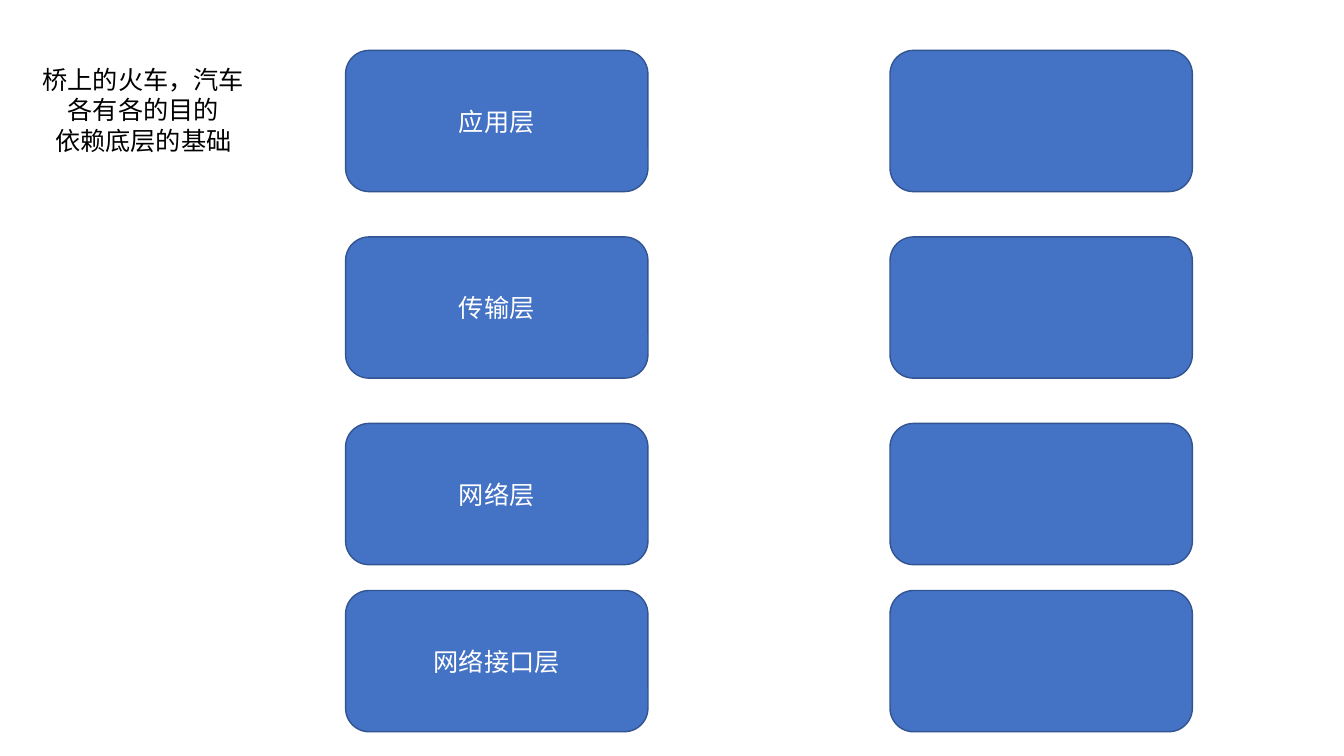
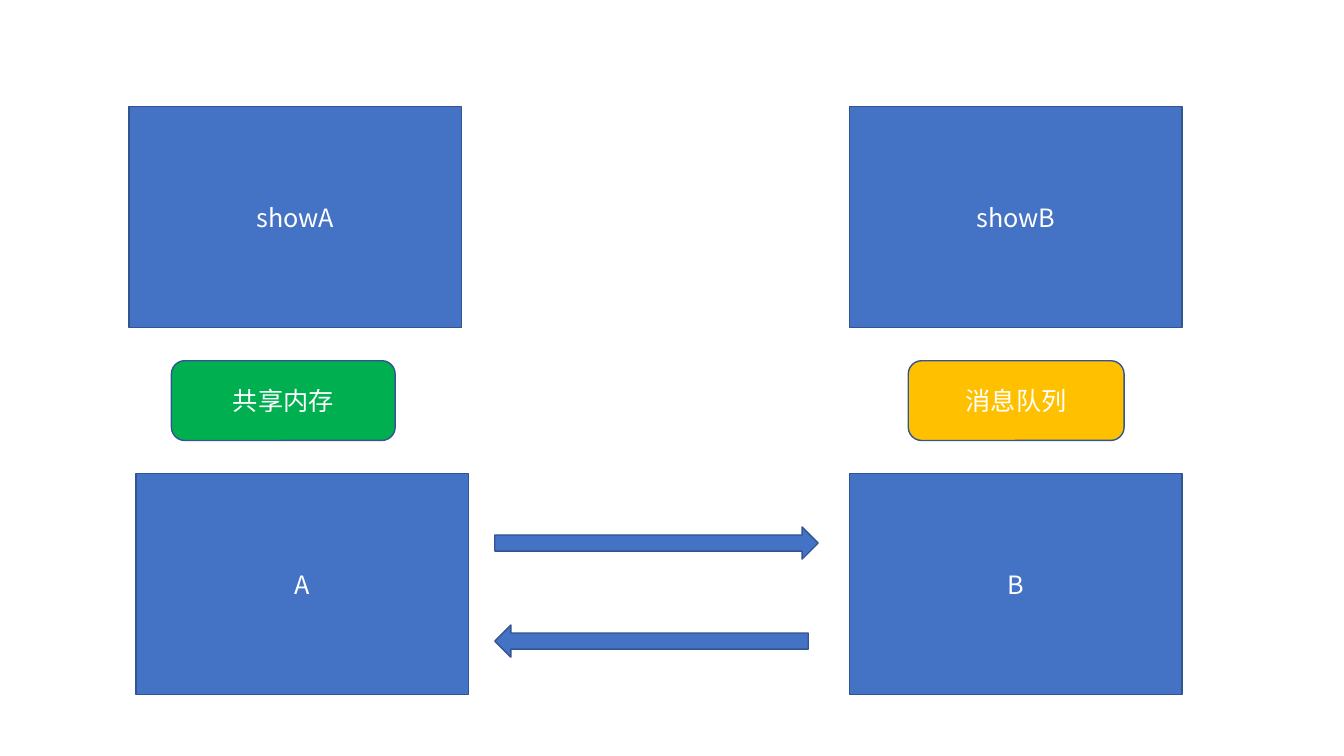
from lxml.etree import SubElement
from pptx import Presentation
from pptx.dml.color import RGBColor
from pptx.enum.shapes import MSO_SHAPE
from pptx.enum.text import MSO_ANCHOR, MSO_AUTO_SIZE, PP_ALIGN
from pptx.oxml.ns import qn
from pptx.util import Cm, Pt

COLORS = {
    "block": "4472C4",
    "outline": "325491",
    "memory": "00B050",
    "queue": "FFC000",
    "light": "FFFFFF",
    "dark": "000000",
}
FONT = "Noto Sans CJK SC"
BLANK_LAYOUT = 6

LAYERS = ["应用层", "传输层", "网络层", "网络接口层"]
BRIDGE_NOTE = ["桥上的火车，汽车", "各有各的目的", "依赖底层的基础"]


def color(key):
    return RGBColor.from_string(COLORS[key])


def write(frame, text, ink):
    """Centred 18 pt text in the shared Latin and East Asian font."""
    frame.text = text
    for paragraph in frame.paragraphs:
        paragraph.alignment = PP_ALIGN.CENTER
        for run in paragraph.runs:
            run.font.size = Pt(18)
            run.font.name = FONT
            run.font.color.rgb = color(ink)
            SubElement(run._r.get_or_add_rPr(), qn("a:ea")).set("typeface", FONT)


def add_block(slide, kind, left, top, width, height, text="", fill="block"):
    block = slide.shapes.add_shape(kind, Cm(left), Cm(top), Cm(width), Cm(height))
    block.shadow.inherit = False
    block.fill.solid()
    block.fill.fore_color.rgb = color(fill)
    block.line.color.rgb = color("outline")
    block.line.width = Pt(1)
    if text:
        block.text_frame.vertical_anchor = MSO_ANCHOR.MIDDLE
        write(block.text_frame, text, "light")


def add_layer_stack(slide, left, top, labels):
    # Even pitch, with the bottom layer moved closer to the one above
    for offset, label in zip((0, 4.7, 9.4, 13.61), labels):
        add_block(slide, MSO_SHAPE.ROUNDED_RECTANGLE,
                  left, top + offset, 7.62, 3.56, label)


def add_note(slide, left, top, width, height, lines):
    note = slide.shapes.add_textbox(Cm(left), Cm(top), Cm(width), Cm(height))
    note.text_frame.word_wrap = False
    note.text_frame.auto_size = MSO_AUTO_SIZE.SHAPE_TO_FIT_TEXT
    write(note.text_frame, "\n".join(lines), "dark")


def add_endpoint(slide, left, top, names, channel, channel_fill,
                 channel_inset, channel_width, process_shift=0):
    """Display window above, channel between, process below."""
    window, process = names
    add_block(slide, MSO_SHAPE.RECTANGLE, left, top, 8.38, 5.56, window)
    add_block(slide, MSO_SHAPE.RECTANGLE,
              left + process_shift, top + 9.25, 8.38, 5.56, process)
    add_block(slide, MSO_SHAPE.ROUNDED_RECTANGLE, left + channel_inset, top + 6.4,
              channel_width, 2.01, channel, channel_fill)


def add_exchange(slide, left, top):
    add_block(slide, MSO_SHAPE.RIGHT_ARROW, left, top, 8.15, 0.81)
    add_block(slide, MSO_SHAPE.LEFT_ARROW, left, top + 2.47, 7.9, 0.81)


def build_layers_slide(deck):
    slide = deck.slides.add_slide(deck.slide_layouts[BLANK_LAYOUT])
    add_layer_stack(slide, 8.71, 1.27, LAYERS)
    add_layer_stack(slide, 22.43, 1.27, [""] * len(LAYERS))
    add_note(slide, 0.79, 1.5, 5.64, 2.57, BRIDGE_NOTE)


def build_chat_slide(deck):
    slide = deck.slides.add_slide(deck.slide_layouts[BLANK_LAYOUT])
    add_endpoint(slide, 3.25, 2.69, ("showA", "A"), "共享内存", "memory",
                 1.07, 5.64, process_shift=0.18)
    add_endpoint(slide, 21.41, 2.69, ("showB", "B"), "消息队列", "queue",
                 1.48, 5.44)
    add_exchange(slide, 12.47, 13.28)


def main():
    deck = Presentation()
    deck.slide_width, deck.slide_height = Cm(33.87), Cm(19.05)
    build_layers_slide(deck)
    build_chat_slide(deck)
    deck.save("out.pptx")


if __name__ == "__main__":
    main()
